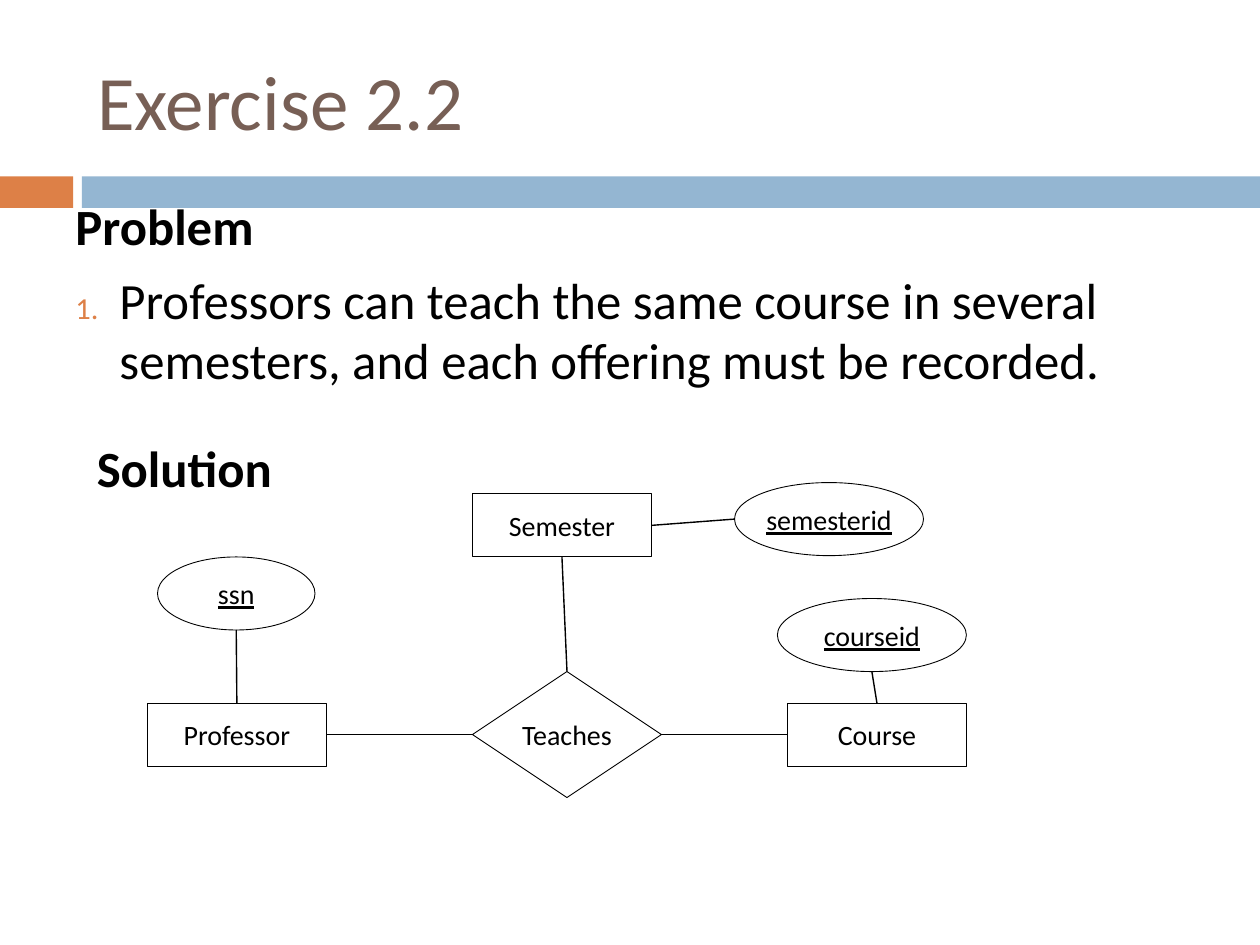
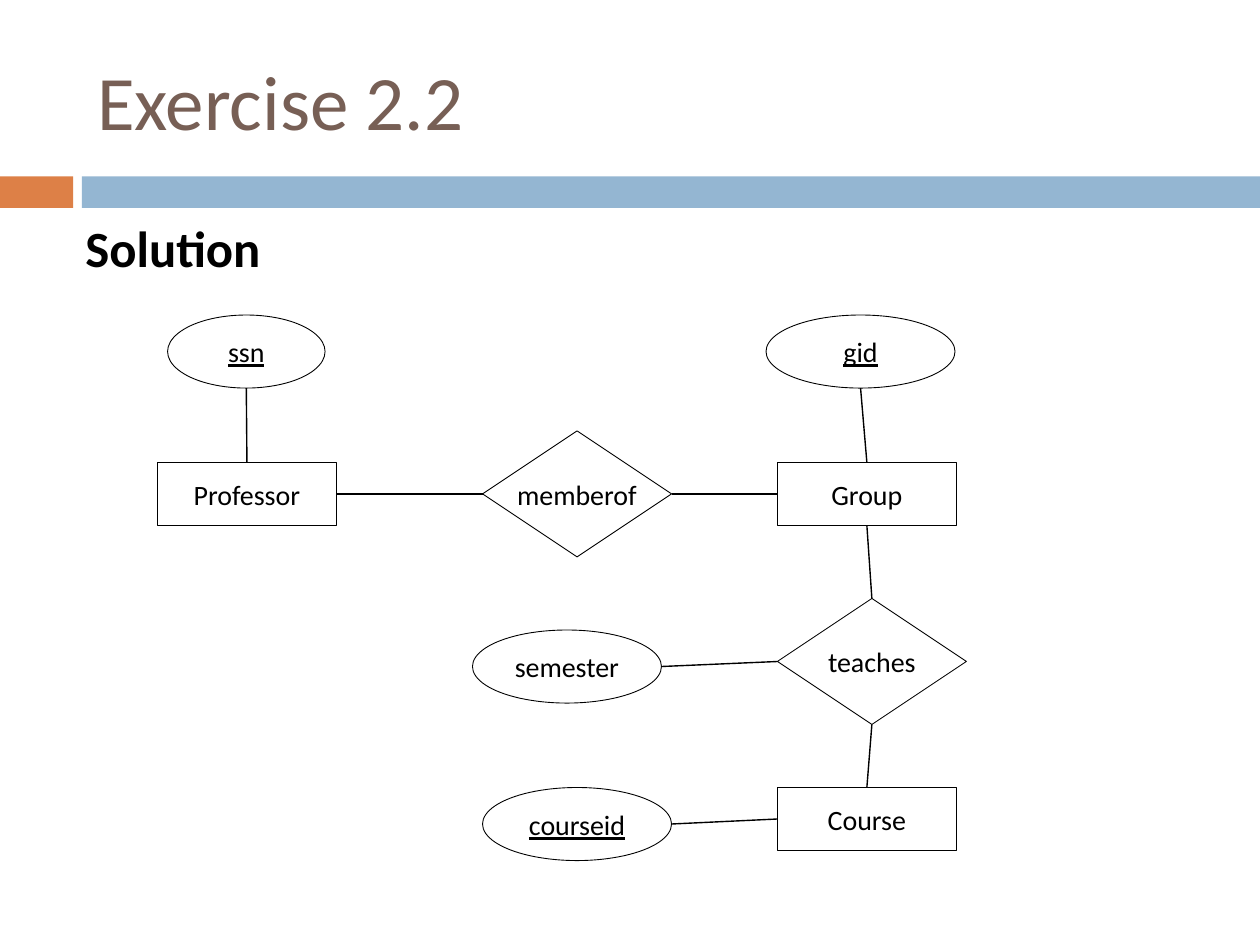
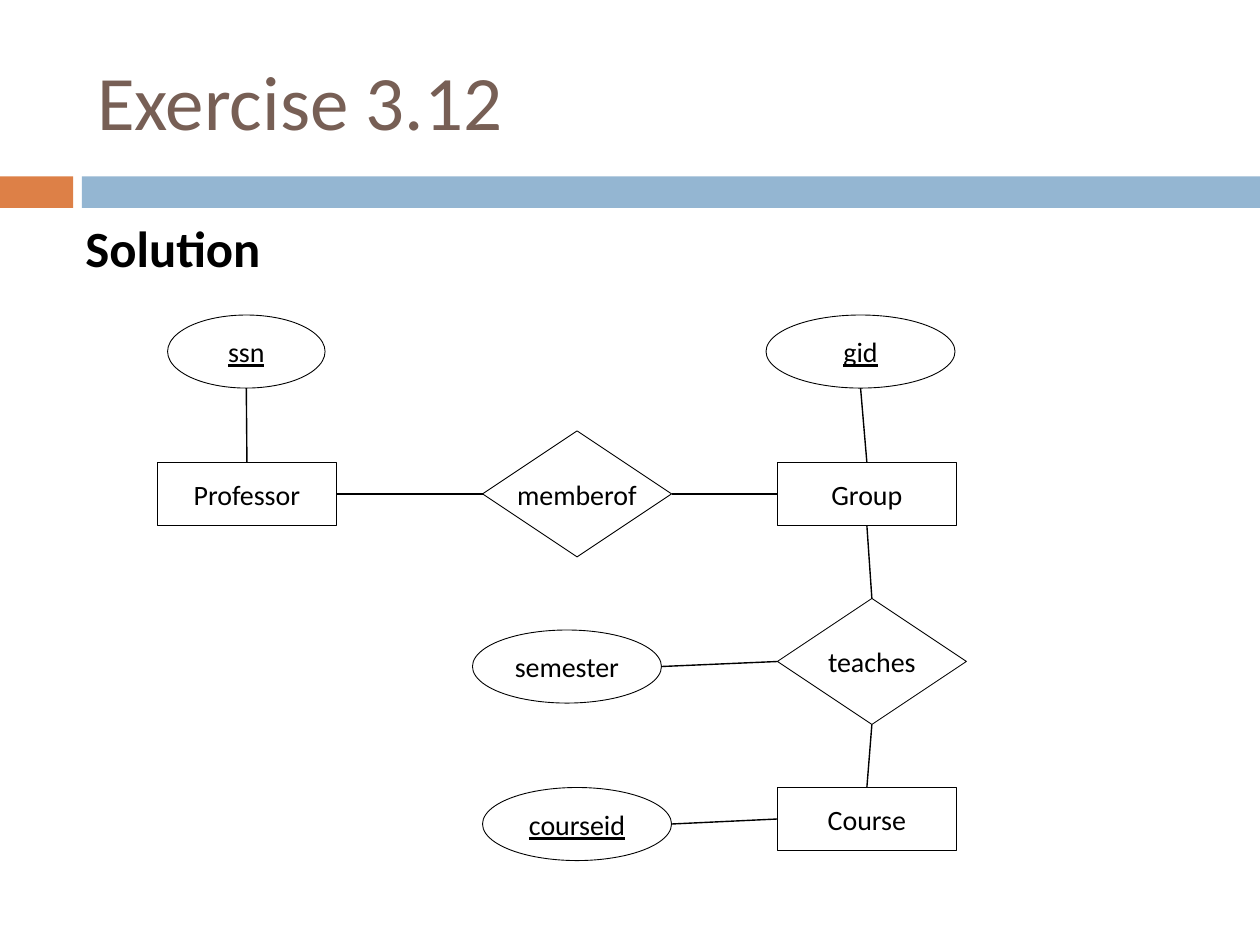
import dataclasses
import enum

import lxml.etree
import pptx
import pptx.dml.color
import pptx.enum.shapes
import pptx.enum.text
import pptx.oxml.ns
import pptx.util

Inches = pptx.util.Inches
Pt = pptx.util.Pt
RGBColor = pptx.dml.color.RGBColor
Preset = pptx.enum.shapes.MSO_SHAPE
Anchor = pptx.enum.text.MSO_ANCHOR
Align = pptx.enum.text.PP_ALIGN


# Theme
@dataclasses.dataclass(frozen=True)
class Theme:
    font: str = "Calibri"
    title_color: RGBColor = RGBColor(0x77, 0x5F, 0x55)
    accent: RGBColor = RGBColor(0xDD, 0x80, 0x47)
    band: RGBColor = RGBColor(0x94, 0xB6, 0xD2)
    ink: RGBColor = RGBColor(0, 0, 0)
    paper: RGBColor = RGBColor(0xFF, 0xFF, 0xFF)
    title_size: Pt = Pt(44)
    body_size: Pt = Pt(29)
    node_size: Pt = Pt(16)
    outline: Pt = Pt(0.5)
    link: Pt = Pt(0.79)


THEME = Theme()
HANGING_INDENT = Inches(0.35)


# Diagram and slide descriptions
class Side(enum.IntEnum):
    TOP = 0
    LEFT = 1
    BOTTOM = 2
    RIGHT = 3


class Kind(enum.Enum):
    ENTITY = Preset.RECTANGLE
    RELATIONSHIP = Preset.DIAMOND
    ATTRIBUTE = Preset.OVAL


NODE_SIZES = {
    Kind.ENTITY: (1.42, 0.5),
    Kind.RELATIONSHIP: (1.5, 1),
    Kind.ATTRIBUTE: (1.5, 0.58),
}


@dataclasses.dataclass(frozen=True)
class Node:
    label: str
    kind: Kind
    left: float
    top: float
    is_key: bool = False
    width: float | None = None


@dataclasses.dataclass(frozen=True)
class Link:
    start: str
    start_side: Side
    end: str
    end_side: Side


@dataclasses.dataclass(frozen=True)
class Line:
    text: str
    numbered: bool = False


@dataclasses.dataclass(frozen=True)
class TextBlock:
    left: float
    top: float
    height: float
    lines: tuple[Line, ...]


@dataclasses.dataclass(frozen=True)
class ExerciseSlide:
    title: str
    blocks: tuple[TextBlock, ...]
    nodes: tuple[Node, ...]
    links: tuple[Link, ...]


SOLUTION = (Line("Solution"),)

SEMESTER_SLIDE = ExerciseSlide(
    "Exercise 2.2",
    (
        TextBlock(0.5, 1.5, 3, (
            Line("Problem"),
            Line("Professors can teach the same course in several semesters, "
                 "and each offering must be recorded.", numbered=True),
        )),
        TextBlock(0.67, 3.42, 3.83, SOLUTION),
    ),
    (
        Node("Professor", Kind.ENTITY, 1.17, 5.58),
        Node("Teaches", Kind.RELATIONSHIP, 3.75, 5.33),
        Node("ssn", Kind.ATTRIBUTE, 1.25, 4.42, True, 1.25),
        Node("Course", Kind.ENTITY, 6.25, 5.58),
        Node("Semester", Kind.ENTITY, 3.75, 3.92),
        Node("semesterid", Kind.ATTRIBUTE, 5.83, 3.83, True),
        Node("courseid", Kind.ATTRIBUTE, 6.17, 4.75, True),
    ),
    (
        Link("Professor", Side.TOP, "ssn", Side.BOTTOM),
        Link("Teaches", Side.LEFT, "Professor", Side.RIGHT),
        Link("Course", Side.LEFT, "Teaches", Side.RIGHT),
        Link("Semester", Side.BOTTOM, "Teaches", Side.TOP),
        Link("semesterid", Side.LEFT, "Semester", Side.RIGHT),
        Link("courseid", Side.BOTTOM, "Course", Side.TOP),
    ),
)

GROUP_SLIDE = ExerciseSlide(
    "Exercise 2.2",
    (TextBlock(0.58, 1.67, 2.83, SOLUTION),),
    (
        Node("Professor", Kind.ENTITY, 1.25, 3.67),
        Node("memberof", Kind.RELATIONSHIP, 3.83, 3.42),
        Node("ssn", Kind.ATTRIBUTE, 1.33, 2.5, True, 1.25),
        Node("Group", Kind.ENTITY, 6.17, 3.67),
        Node("courseid", Kind.ATTRIBUTE, 3.83, 6.25, True),
        Node("teaches", Kind.RELATIONSHIP, 6.17, 4.75),
        Node("Course", Kind.ENTITY, 6.17, 6.25),
        Node("semester", Kind.ATTRIBUTE, 3.75, 5),
        Node("gid", Kind.ATTRIBUTE, 6.08, 2.5, True),
    ),
    (
        Link("Professor", Side.TOP, "ssn", Side.BOTTOM),
        Link("memberof", Side.RIGHT, "Group", Side.LEFT),
        Link("memberof", Side.LEFT, "Professor", Side.RIGHT),
        Link("Group", Side.BOTTOM, "teaches", Side.TOP),
        Link("teaches", Side.BOTTOM, "Course", Side.TOP),
        Link("courseid", Side.RIGHT, "Course", Side.LEFT),
        Link("semester", Side.RIGHT, "teaches", Side.LEFT),
        Link("gid", Side.BOTTOM, "Group", Side.TOP),
    ),
)

SLIDES = (
    SEMESTER_SLIDE,
    GROUP_SLIDE,
    dataclasses.replace(GROUP_SLIDE, title="Exercise 3.12"),
)


# Text helpers
def set_font(paragraph, size: Pt, color: RGBColor, bold: bool = False) -> None:
    paragraph.font.name = THEME.font
    paragraph.font.size = size
    paragraph.font.bold = bold
    paragraph.font.color.rgb = color


def add_number(paragraph) -> None:
    properties = paragraph._p.get_or_add_pPr()
    properties.set("marL", str(HANGING_INDENT))
    properties.set("indent", str(-HANGING_INDENT))
    qn = pptx.oxml.ns.qn
    color = lxml.etree.SubElement(properties, qn("a:buClr"))
    lxml.etree.SubElement(color, qn("a:srgbClr"), val=str(THEME.accent))
    lxml.etree.SubElement(properties, qn("a:buSzPct"), val="60000")
    lxml.etree.SubElement(properties, qn("a:buFont"), typeface=THEME.font)
    lxml.etree.SubElement(properties, qn("a:buAutoNum"), type="arabicPeriod")


def add_text_block(slide, block: TextBlock) -> None:
    box = slide.shapes.add_textbox(
        Inches(block.left), Inches(block.top), Inches(9), Inches(block.height))
    frame = box.text_frame
    frame.word_wrap = True
    for index, line in enumerate(block.lines):
        paragraph = frame.add_paragraph() if index else frame.paragraphs[0]
        paragraph.text = line.text
        if index:
            paragraph.space_before = Pt(7)
        if line.numbered:
            add_number(paragraph)
        set_font(paragraph, THEME.body_size, THEME.ink, bold=not line.numbered)


# Title and bands
def add_title(slide, text: str) -> None:
    title = slide.shapes.title
    title.left, title.top = Inches(0.67), Inches(0.25)
    title.width, title.height = Inches(8.92), Inches(1.08)
    frame = title.text_frame
    frame.text = text
    frame.word_wrap = True
    frame.auto_size = pptx.enum.text.MSO_AUTO_SIZE.NONE
    frame.vertical_anchor = Anchor.MIDDLE
    paragraph = frame.paragraphs[0]
    paragraph.alignment = Align.LEFT
    set_font(paragraph, THEME.title_size, THEME.title_color)


def add_bands(slide) -> None:
    for left, width, color in ((0, 0.58, THEME.accent), (0.65, 9.35, THEME.band)):
        band = slide.shapes.add_shape(
            Preset.RECTANGLE, Inches(left), Inches(1.4), Inches(width), Inches(0.25))
        band.shadow.inherit = False
        band.fill.solid()
        band.fill.fore_color.rgb = color
        band.line.fill.background()


# Diagram
def add_node(slide, node: Node):
    width, height = NODE_SIZES[node.kind]
    shape = slide.shapes.add_shape(
        node.kind.value, Inches(node.left), Inches(node.top),
        Inches(node.width or width), Inches(height))
    shape.shadow.inherit = False
    shape.fill.solid()
    shape.fill.fore_color.rgb = THEME.paper
    shape.line.color.rgb = THEME.ink
    shape.line.width = THEME.outline

    frame = shape.text_frame
    frame.text = node.label
    frame.vertical_anchor = Anchor.MIDDLE
    frame.word_wrap = node.kind is Kind.ENTITY
    if node.kind is not Kind.ENTITY:
        frame.margin_left = frame.margin_right = 0
        frame.margin_top = frame.margin_bottom = 0
    paragraph = frame.paragraphs[0]
    paragraph.alignment = Align.CENTER
    set_font(paragraph, THEME.node_size, THEME.ink)
    if node.is_key:
        paragraph.font.underline = True
    return shape


def side_middle(shape, side: Side) -> tuple[int, int]:
    middle_x = shape.left + shape.width // 2
    middle_y = shape.top + shape.height // 2
    return {
        Side.TOP: (middle_x, shape.top),
        Side.LEFT: (shape.left, middle_y),
        Side.BOTTOM: (middle_x, shape.top + shape.height),
        Side.RIGHT: (shape.left + shape.width, middle_y),
    }[side]


def add_link(slide, link: Link, shapes: dict) -> None:
    start, end = shapes[link.start], shapes[link.end]
    connector = slide.shapes.add_connector(
        pptx.enum.shapes.MSO_CONNECTOR.STRAIGHT,
        *side_middle(start, link.start_side), *side_middle(end, link.end_side))
    # Ovals number their connection sites differently, so only the others join
    if start.auto_shape_type != Preset.OVAL:
        connector.begin_connect(start, int(link.start_side))
    if end.auto_shape_type != Preset.OVAL:
        connector.end_connect(end, int(link.end_side))
    connector.line.color.rgb = THEME.ink
    connector.line.width = THEME.link
    lxml.etree.SubElement(
        connector._element.spPr, pptx.oxml.ns.qn("a:effectLst"))


# Presentation
def add_exercise_slide(presentation, exercise: ExerciseSlide) -> None:
    slide = presentation.slides.add_slide(presentation.slide_layouts[5])
    add_bands(slide)
    add_title(slide, exercise.title)
    for block in exercise.blocks:
        add_text_block(slide, block)
    shapes = {node.label: add_node(slide, node) for node in exercise.nodes}
    for link in exercise.links:
        add_link(slide, link, shapes)


def main() -> None:
    presentation = pptx.Presentation()
    presentation.slide_width = Inches(10)
    presentation.slide_height = Inches(7.5)
    for exercise in SLIDES:
        add_exercise_slide(presentation, exercise)
    presentation.save("out.pptx")


if __name__ == "__main__":
    main()
